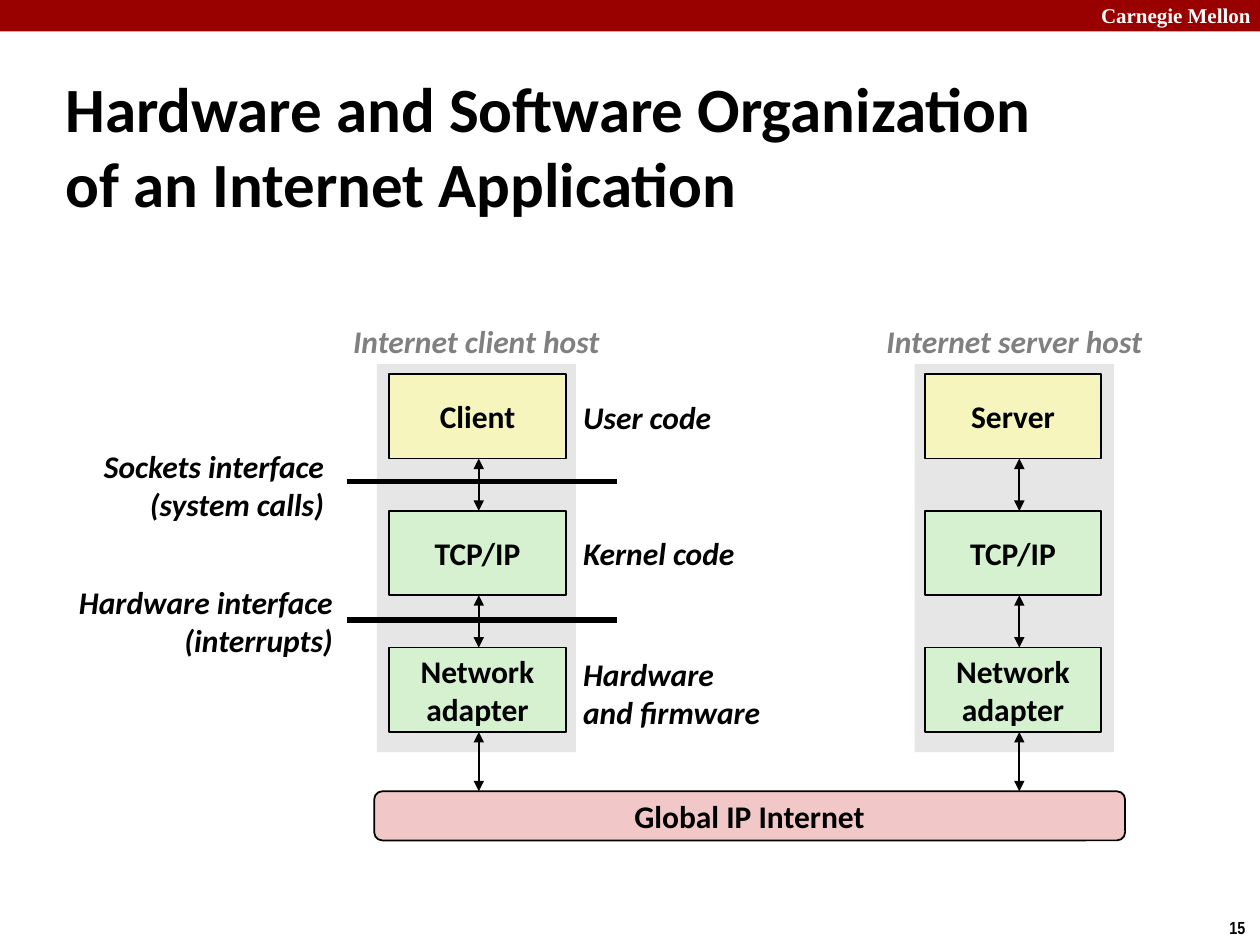
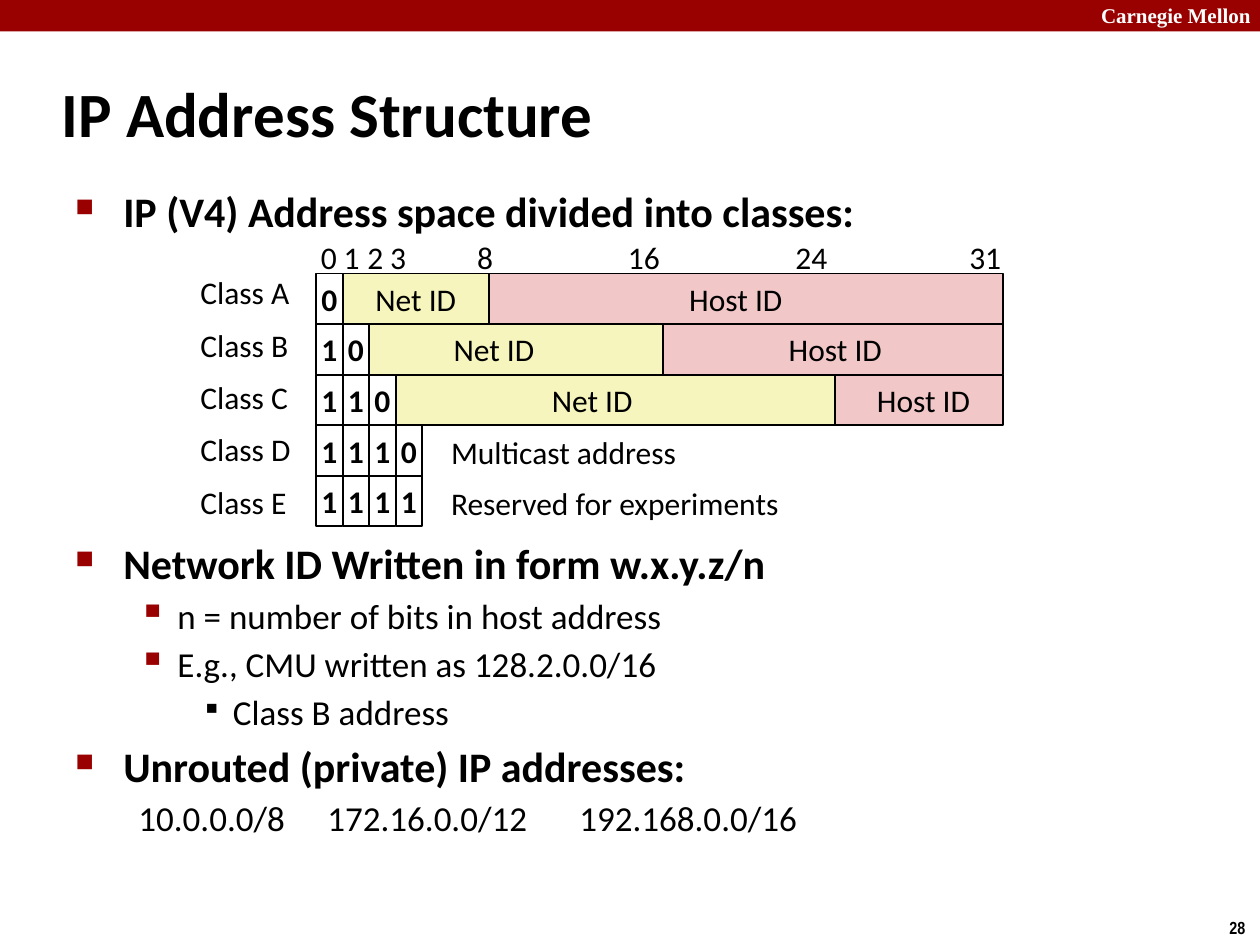
"""Builds two networking slides: host organization and IP address structure."""
from dataclasses import dataclass

from lxml import etree
from pptx import Presentation
from pptx.dml.color import RGBColor
from pptx.enum.shapes import MSO_CONNECTOR, MSO_SHAPE
from pptx.enum.text import MSO_ANCHOR, PP_ALIGN
from pptx.oxml.ns import qn
from pptx.util import Inches, Pt

LEFT, CENTER, RIGHT = PP_ALIGN.LEFT, PP_ALIGN.CENTER, PP_ALIGN.RIGHT
TOP, MIDDLE = MSO_ANCHOR.TOP, MSO_ANCHOR.MIDDLE
RECT, ROUNDED = MSO_SHAPE.RECTANGLE, MSO_SHAPE.ROUNDED_RECTANGLE
STRAIGHT = MSO_CONNECTOR.STRAIGHT


@dataclass(frozen=True)
class Theme:
    red: str = "990000"
    ink: str = "000000"
    paper: str = "FFFFFF"
    muted: str = "808080"
    panel: str = "E6E6E6"
    yellow: str = "F6F5BD"
    green: str = "D5F1CF"
    pink: str = "F1C7C7"
    font: str = "Calibri"
    band_font: str = "Times New Roman"
    number_font: str = "Arial Narrow"
    title: int = 36
    heading: int = 24
    body: int = 20
    label: int = 18
    band: int = 12
    number: int = 10


THEME = Theme()
WIDTH, HEIGHT = 10, 7.5

BAND_TEXT = "Carnegie Mellon"
HOST_SLIDE = ("Hardware and Software Organization \vof an Internet Application", 15, (0.42, 0.55, 8.89, 1.2))
ADDRESS_SLIDE = ("IP Address Structure", 28, (0.39, 0.48, 8.3, 0.83))

HOSTS = [
    {"name": "Internet client host", "program": "Client", "panel": 2.99, "stack": 3.09, "axis": 3.8},
    {"name": "Internet server host", "program": "Server", "panel": 7.26, "stack": 7.34, "axis": 8.09},
]
LOWER_LAYERS = ["TCP/IP", "Network\nadapter"]
LAYER_COLORS = [THEME.yellow, THEME.green, THEME.green]
LAYER_NOTES = [("User code", 3.31), ("Kernel code", 4.39), ("Hardware\nand firmware", 5.5)]
INTERFACES = [
    ("Sockets interface\n(system calls)", 2.67, 3.85, 3.82),
    ("Hardware interface\n(interrupts)", 2.74, 4.93, 4.92),
]
BACKBONE = "Global IP Internet"
PANEL_SIZE, PANEL_TOP = (1.58, 3.08), 2.89
LAYER_SIZE, LAYER_TOP, LAYER_PITCH = (1.4, 0.67), 2.97, 1.085
BACKBONE_BOX = (2.97, 6.28, 5.96, 0.39)

OUTLINE = [
    (0, "IP (V4) Address space divided into classes:"),
    (0, "Network ID Written in form w.x.y.z/n"),
    (1, "n = number of bits in host address"),
    (1, "E.g., CMU written as 128.2.0.0/16"),
    (2, "Class B address"),
    (0, "Unrouted (private) IP addresses:"),
]
PRIVATE_RANGES = ["10.0.0.0/8", "172.16.0.0/12", "192.168.0.0/16"]
RANGE_STOPS = [0.81, 2.17, 3.95]
DIAGRAM_GAP = 172.5
LEVELS = [
    {"size": THEME.heading, "bold": True, "left": 0.38, "hang": 0.38, "bullet": ("■", THEME.red, 60)},
    {"size": THEME.body, "bold": False, "left": 0.81, "hang": 0.31, "bullet": ("▪", THEME.red, 110)},
    {"size": THEME.body, "bold": False, "left": 1.25, "hang": 0.25, "bullet": ("▪", THEME.ink, 80)},
]

BIT_MARKS = [("0", 2.61), ("1", 2.79), ("2", 2.98), ("3", 3.16),
             ("8", 3.85), ("16", 5.11), ("24", 6.44), ("31", 7.82)]
CLASSES = [
    {"name": "Class A", "prefix": "0", "split": 3.88, "net": 3.3, "host": 5.84},
    {"name": "Class B", "prefix": "10", "split": 5.26, "net": 3.92, "host": 6.63},
    {"name": "Class C", "prefix": "110", "split": 6.63, "net": 4.7, "host": 7.33},
    {"name": "Class D", "prefix": "1110", "use": "Multicast address"},
    {"name": "Class E", "prefix": "1111", "use": "Reserved for experiments"},
]
GRID_LEFT, GRID_TOP, GRID_RIGHT = 2.51, 2.17, 7.96
BIT_WIDTH, CLASS_HEIGHT = 0.21, 0.4
CLASS_LABEL_PITCH = 0.415


def color(value):
    return RGBColor.from_string(value)


def style(font, size, ink=THEME.ink, bold=False, italic=False, face=THEME.font):
    font.name, font.size, font.bold, font.italic = face, Pt(size), bold, italic
    font.color.rgb = color(ink)


def fill_text(shape, text, align=LEFT, anchor=MIDDLE, inset=(0, 0), **look):
    frame = shape.text_frame
    frame.word_wrap, frame.vertical_anchor = True, anchor
    frame.margin_left = frame.margin_right = Inches(inset[0])
    frame.margin_top = frame.margin_bottom = Inches(inset[1])
    frame.text = text
    for paragraph in frame.paragraphs:
        paragraph.alignment = align
        for run in paragraph.runs:
            style(run.font, **look)


def write(slide, box, text, **options):
    fill_text(slide.shapes.add_textbox(*map(Inches, box)), text, **options)


def block(slide, box, fill, text="", outlined=True, kind=RECT):
    shape = slide.shapes.add_shape(kind, *map(Inches, box))
    shape.shadow.inherit = False
    shape.fill.solid()
    shape.fill.fore_color.rgb = color(fill)
    if outlined:
        shape.line.color.rgb = color(THEME.ink)
        shape.line.width = Pt(1)
    else:
        shape.line.fill.background()
    if text:
        fill_text(shape, text, align=CENTER, size=THEME.label, bold=True)
    return shape


def connect(slide, start, end, width=1, arrows=False):
    link = slide.shapes.add_connector(STRAIGHT, *map(Inches, start + end))
    link.line.color.rgb = color(THEME.ink)
    link.line.width = Pt(width)
    if arrows:
        line = link.line._get_or_add_ln()
        for tip in ("a:headEnd", "a:tailEnd"):
            etree.SubElement(line, qn(tip), type="triangle")
    etree.SubElement(link._element.spPr, qn("a:effectLst"))


def start_slide(deck, title, number, title_box):
    slide = deck.slides.add_slide(deck.slide_layouts[6])
    block(slide, (0, 0, WIDTH, 0.25), THEME.red, outlined=False)
    write(slide, (8.64, -0.03, 1.43, 0.3), BAND_TEXT, anchor=TOP, inset=(0.1, 0.05),
          size=THEME.band, ink=THEME.paper, bold=True, face=THEME.band_font)
    write(slide, (9.66, 7.23, 0.34, 0.27), str(number), anchor=TOP, inset=(0.1, 0.05),
          size=THEME.number, bold=True, face=THEME.number_font)
    write(slide, title_box, title, inset=(0.1, 0.05), size=THEME.title, bold=True)
    return slide


def draw_host(slide, host):
    layer_width, layer_height = LAYER_SIZE
    block(slide, (host["panel"], PANEL_TOP, *PANEL_SIZE), THEME.panel, outlined=False)
    center = host["panel"] + PANEL_SIZE[0] / 2
    write(slide, (center - 1.25, 2.51, 2.5, 0.4), host["name"], align=CENTER,
          size=THEME.label, ink=THEME.muted, bold=True, italic=True)
    tops = [LAYER_TOP + LAYER_PITCH * row for row in range(3)]
    for name, fill, top in zip([host["program"]] + LOWER_LAYERS, LAYER_COLORS, tops):
        block(slide, (host["stack"], top, layer_width, layer_height), fill, name)
    for top, below in zip(tops, tops[1:] + [BACKBONE_BOX[1]]):
        connect(slide, (host["axis"], top + layer_height), (host["axis"], below), arrows=True)


def build_host_slide(deck):
    slide = start_slide(deck, *HOST_SLIDE)
    for host in HOSTS:
        draw_host(slide, host)
    block(slide, BACKBONE_BOX, THEME.pink, BACKBONE, kind=ROUNDED)
    note_look = {"size": THEME.label, "bold": True, "italic": True, "inset": (0.1, 0.05)}
    for note, middle in LAYER_NOTES:
        write(slide, (4.53, middle - 0.35, 1.8, 0.7), note, **note_look)
    for name, right, middle, barrier in INTERFACES:
        write(slide, (right - 2.4, middle - 0.35, 2.4, 0.7), name, align=RIGHT, **note_look)
        connect(slide, (2.75, barrier), (4.9, barrier), width=3)


def add_bullet(properties, mark, ink, percent):
    tint = etree.SubElement(properties, qn("a:buClr"))
    etree.SubElement(tint, qn("a:srgbClr"), val=ink)
    etree.SubElement(properties, qn("a:buSzPct"), val=str(percent * 1000))
    etree.SubElement(properties, qn("a:buChar"), char=mark)


def write_outline(slide):
    frame = slide.shapes.add_textbox(*map(Inches, (0.5, 1.42, 9.09, 5.71))).text_frame
    frame.word_wrap = True
    ranges = "".join("\t" + block_range for block_range in PRIVATE_RANGES)
    frame.text = "\n".join([text for _, text in OUTLINE] + [ranges])
    levels = [level for level, _ in OUTLINE] + [1]
    for index, (paragraph, level) in enumerate(zip(frame.paragraphs, levels)):
        rule = LEVELS[level]
        paragraph.level = level
        if index:
            paragraph.space_before = Pt(DIAGRAM_GAP if index == 1 else round(0.18 * rule["size"], 1))
        properties = paragraph._p.get_or_add_pPr()
        if index < len(OUTLINE):
            properties.set("marL", str(Inches(rule["left"])))
            properties.set("indent", str(-Inches(rule["hang"])))
            add_bullet(properties, *rule["bullet"])
        else:
            properties.set("marL", "0")
            properties.set("indent", "0")
            stops = etree.SubElement(properties, qn("a:tabLst"))
            for stop in RANGE_STOPS:
                etree.SubElement(stops, qn("a:tab"), pos=str(Inches(stop)), algn="l")
        for run in paragraph.runs:
            style(run.font, rule["size"], bold=rule["bold"])


def draw_class(slide, row, address_class):
    top = GRID_TOP + CLASS_HEIGHT * row * 1.005
    write(slide, (1.59, GRID_TOP + CLASS_LABEL_PITCH * row, 0.9, 0.3), address_class["name"], size=THEME.label)
    prefix = address_class["prefix"]
    field_left = GRID_LEFT + BIT_WIDTH * len(prefix)
    if "use" in address_class:
        write(slide, (3.58, top + 0.06, 3, 0.3), address_class["use"], size=THEME.label)
    else:
        split = address_class["split"]
        fields = [("Net ID", "net", field_left, split, THEME.yellow),
                  ("Host ID", "host", split, GRID_RIGHT, THEME.pink)]
        for name, key, left, right, fill in fields:
            block(slide, (left, top, right - left, CLASS_HEIGHT), fill)
            write(slide, (address_class[key] - 0.5, top, 1, CLASS_HEIGHT), name, align=CENTER, size=THEME.label)
    for column, bit in enumerate(prefix):
        block(slide, (GRID_LEFT + BIT_WIDTH * column, top, BIT_WIDTH, CLASS_HEIGHT), THEME.paper, bit)


def build_address_slide(deck):
    slide = start_slide(deck, *ADDRESS_SLIDE)
    write_outline(slide)
    for mark, center in BIT_MARKS:
        write(slide, (center - 0.2, 1.89, 0.4, 0.3), mark, align=CENTER, size=THEME.label)
    for row, address_class in enumerate(CLASSES):
        draw_class(slide, row, address_class)


def main():
    deck = Presentation()
    deck.slide_width, deck.slide_height = Inches(WIDTH), Inches(HEIGHT)
    build_host_slide(deck)
    build_address_slide(deck)
    deck.save("out.pptx")


if __name__ == "__main__":
    main()
